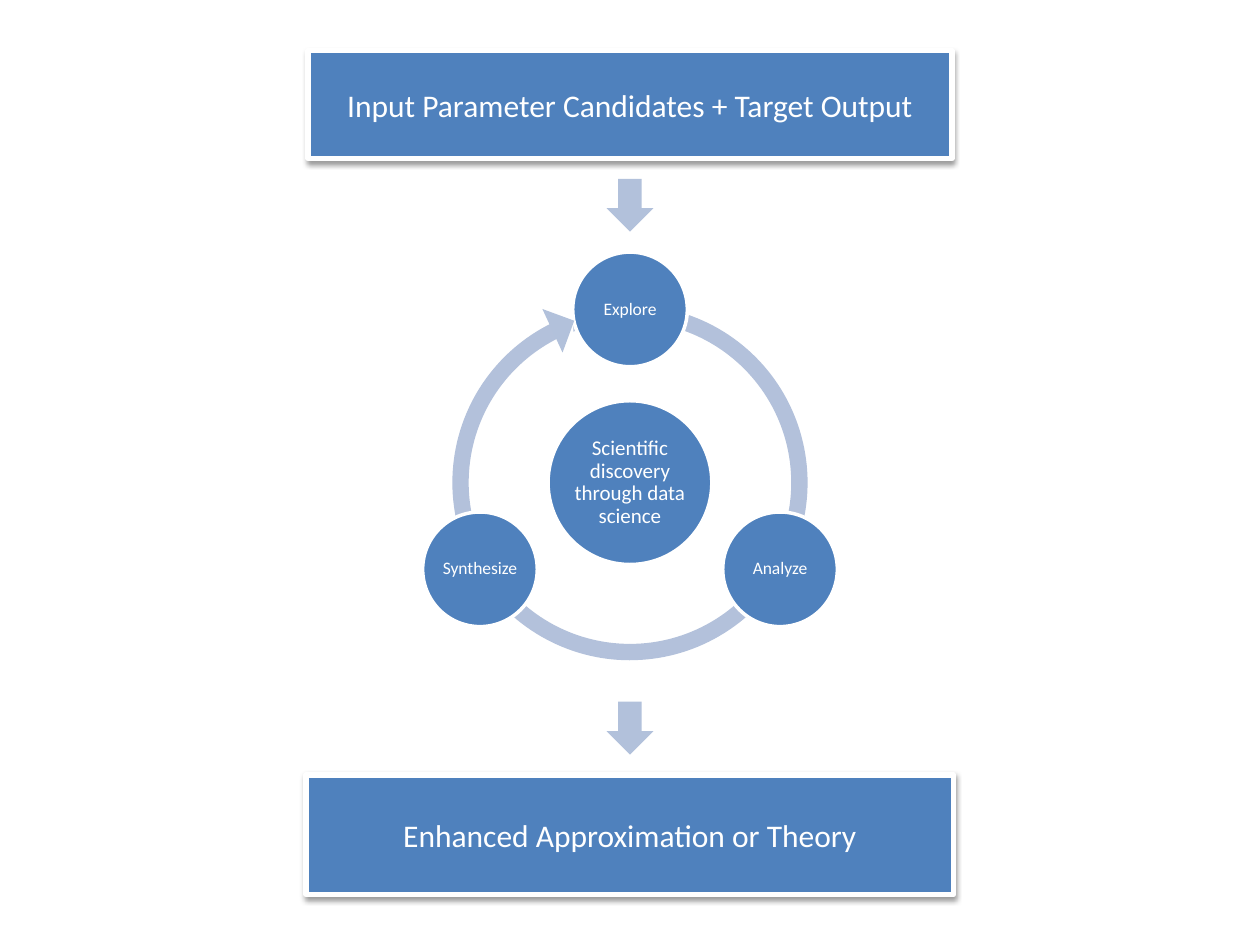
from dataclasses import dataclass
from math import cos, radians, sin

from lxml.etree import SubElement
from pptx import Presentation
from pptx.dml.color import RGBColor
from pptx.enum.shapes import MSO_SHAPE
from pptx.enum.text import MSO_ANCHOR, PP_ALIGN
from pptx.oxml.ns import qn
from pptx.shapes.autoshape import Shape
from pptx.slide import Slide
from pptx.util import Pt

BLUE, PALE, WHITE = "4F81BD", "B3C1DB", "FFFFFF"
ARROW = "B2C1DB"
FONT = "Calibri"

# Cycle geometry in points; angles run clockwise from the right
CENTER_X, CENTER_Y = 360, 275.8
ORBIT, RING = 99, 203
HUB_SIZE, NODE_SIZE = 93.6, 65.5
RING_THICKNESS = 0.046


@dataclass
class Banner:
    text: str
    top: float
    width: float
    height: float


@dataclass
class Node:
    text: str
    angle: float


@dataclass
class Patch:
    kind: MSO_SHAPE
    left: float
    top: float
    width: float
    height: float
    color: str
    rotation: float = 0


BANNERS = [
    Banner("Input Parameter Candidates + Target Output", 28.8, 367.9, 61.9),
    Banner("Enhanced Approximation or Theory", 442.8, 370.1, 68.4),
]
NODES = [Node("Explore", 270), Node("Analyze", 30), Node("Synthesize", 150)]
ARC_SPANS = [(90, 162), (18, 90), (162, 18)]
ARROW_TOPS = [102.2, 401]
# White patches cut the ring open, and a triangle forms its arrowhead
ARROWHEAD = [
    Patch(MSO_SHAPE.RECTANGLE, 318.2, 177.1, 8.6, 18, WHITE),
    Patch(MSO_SHAPE.RECTANGLE, 319, 185.8, 8.6, 5.8, WHITE),
    Patch(MSO_SHAPE.RIGHT_TRIANGLE, 306, 179.3, 19.4, 19.4, ARROW, 200.2),
]


def color(value: str) -> RGBColor:
    return RGBColor.from_string(value)


def add_box(page: Slide, kind: MSO_SHAPE, left: float, top: float, width: float,
            height: float, fill: str, line_width: float = 0) -> Shape:
    box = page.shapes.add_shape(kind, Pt(left), Pt(top), Pt(width), Pt(height))
    box.fill.solid()
    box.fill.fore_color.rgb = color(fill)
    if line_width:
        box.line.color.rgb = color(WHITE)
        box.line.width = Pt(line_width)
    else:
        box.line.fill.background()
    box.shadow.inherit = False
    return box


def write(box: Shape, text: str, *, size: float, inset: float | None = None,
          spacing: float | None = None) -> None:
    frame = box.text_frame
    frame.word_wrap = True
    frame.vertical_anchor = MSO_ANCHOR.MIDDLE
    if inset is not None:
        frame.margin_left = frame.margin_right = Pt(inset)
        frame.margin_top = frame.margin_bottom = Pt(inset)
    para = frame.paragraphs[0]
    para.alignment = PP_ALIGN.CENTER
    if spacing is not None:
        para.line_spacing = spacing
    span = para.add_run()
    span.text = text
    span.font.name = FONT
    span.font.size = Pt(size)
    span.font.color.rgb = color(WHITE)


def add_shadow(box: Shape) -> None:
    effects = box._element.spPr.find(qn("a:effectLst"))
    shadow = SubElement(effects, qn("a:outerShdw"), blurRad=str(Pt(3.1)),
                        dist=str(Pt(1.6)), dir="5400000", rotWithShape="0")
    tint = SubElement(shadow, qn("a:srgbClr"), val="000000")
    SubElement(tint, qn("a:alpha"), val="38000")


def add_banner(page: Slide, banner: Banner) -> None:
    box = add_box(page, MSO_SHAPE.RECTANGLE, CENTER_X - banner.width / 2,
                  banner.top, banner.width, banner.height, BLUE, 3)
    add_shadow(box)
    write(box, banner.text, size=18)


def add_arc(page: Slide, start: float, end: float) -> None:
    arc = add_box(page, MSO_SHAPE.BLOCK_ARC, CENTER_X - RING / 2,
                  CENTER_Y - RING / 2, RING, RING, PALE)
    # Angles are stored in 60000ths of a degree, adjustments in 100000ths
    arc.adjustments[0] = start * 0.6
    arc.adjustments[1] = end * 0.6
    arc.adjustments[2] = RING_THICKNESS


def add_circle(page: Slide, text: str, x: float, y: float, diameter: float,
               size: float, inset: float) -> None:
    circle = add_box(page, MSO_SHAPE.OVAL, x - diameter / 2, y - diameter / 2,
                     diameter, diameter, BLUE, 2)
    write(circle, text, size=size, inset=inset, spacing=0.9)


def main() -> None:
    deck = Presentation()
    deck.slide_width, deck.slide_height = Pt(720), Pt(540)
    page = deck.slides.add_slide(deck.slide_layouts[6])

    # Input and result
    for banner in BANNERS:
        add_banner(page, banner)

    # Cycle: ring, hub and steps
    for start, end in ARC_SPANS:
        add_arc(page, start, end)
    add_circle(page, "Scientific discovery through data science",
               CENTER_X, CENTER_Y, HUB_SIZE, 12, 1.2)
    for node in NODES:
        angle = radians(node.angle)
        add_circle(page, node.text, CENTER_X + ORBIT * cos(angle),
                   CENTER_Y + ORBIT * sin(angle), NODE_SIZE, 10, 0.8)

    # Ring arrowhead
    for patch in ARROWHEAD:
        box = add_box(page, patch.kind, patch.left, patch.top,
                      patch.width, patch.height, patch.color)
        box.rotation = patch.rotation

    # Arrows into and out of the cycle
    for top in ARROW_TOPS:
        add_box(page, MSO_SHAPE.DOWN_ARROW, CENTER_X - 13.4, top, 26.8, 30.2, ARROW)

    deck.save("out.pptx")


if __name__ == "__main__":
    main()
